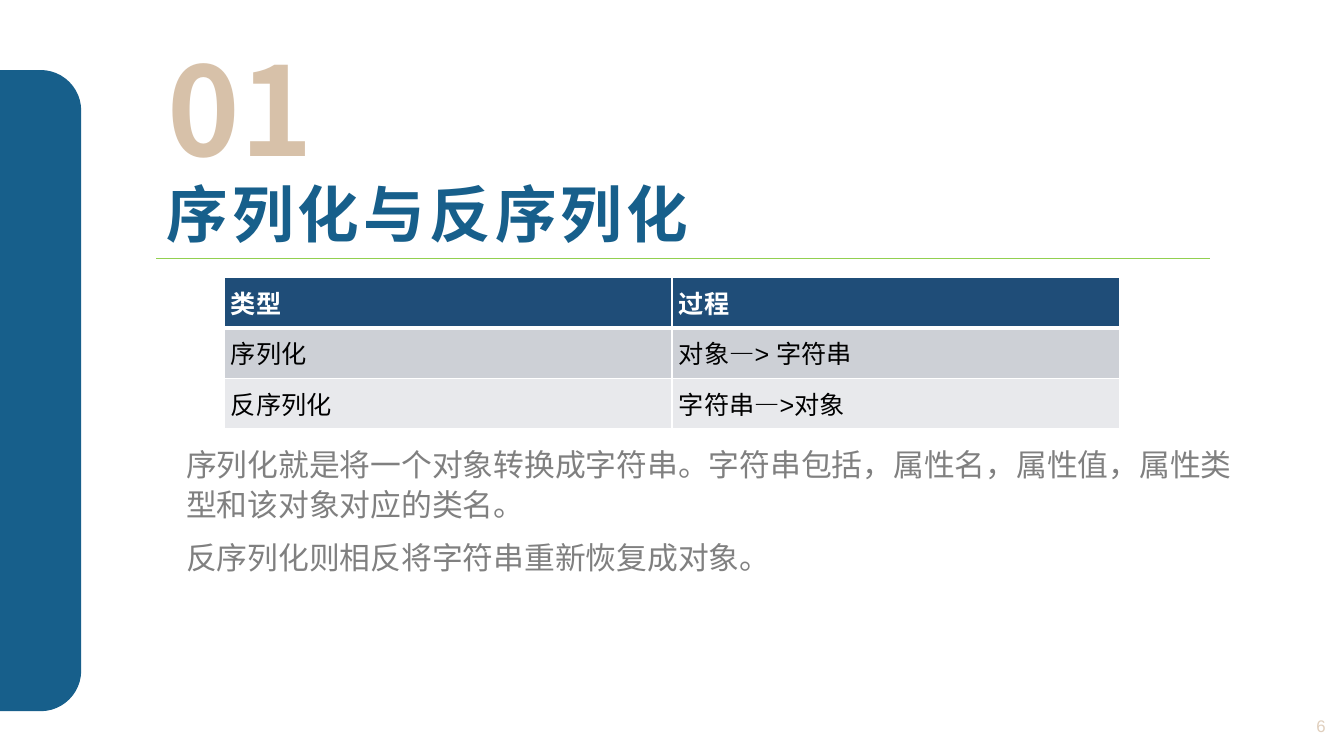
from lxml.etree import SubElement
from pptx import Presentation
from pptx.dml.color import RGBColor
from pptx.enum.shapes import MSO_CONNECTOR, MSO_SHAPE
from pptx.enum.text import MSO_ANCHOR, MSO_AUTO_SIZE, PP_ALIGN
from pptx.oxml import parse_xml
from pptx.oxml.ns import nsdecls, qn
from pptx.util import Pt

BLUE = RGBColor(0x17, 0x5F, 0x8B)
GREEN = RGBColor(0x92, 0xD0, 0x50)
SAND = RGBColor(0xD7, 0xC1, 0xA9)
PALE_SAND = RGBColor(0xE0, 0xCF, 0xBD)
GRAY = RGBColor(0x80, 0x80, 0x80)
NAVY = RGBColor(0x1F, 0x4D, 0x78)
BAND_DARK = RGBColor(0xCD, 0xD0, 0xD6)
BAND_LIGHT = RGBColor(0xE8, 0xE9, 0xEC)
WHITE = RGBColor(0xFF, 0xFF, 0xFF)
BLACK = RGBColor(0, 0, 0)


class SlideBuilder:
    latin = "Arial"
    east_asian = "Noto Sans CJK SC"

    def __init__(self, slide):
        self.slide = slide

    def format_text(self, frame, size, color, bold=False, font=None, align=PP_ALIGN.LEFT,
                    line_spacing=1.0, gap=0, tracking=0):
        for index, paragraph in enumerate(frame.paragraphs):
            paragraph.alignment = align
            paragraph.line_spacing = line_spacing
            paragraph.space_before = Pt(gap if index else 0)
            for run in paragraph.runs:
                run.font.size = Pt(size)
                run.font.bold = bold
                run.font.color.rgb = color
                run.font.name = font or self.latin
                properties = run._r.get_or_add_rPr()
                SubElement(properties, qn("a:ea")).set("typeface", self.east_asian)
                if tracking:
                    properties.set("spc", str(tracking * 100))

    def title(self, text, left, top, width, height, **style):
        heading = self.slide.shapes.title
        heading.left, heading.top = Pt(left), Pt(top)
        heading.width, heading.height = Pt(width), Pt(height)
        self.fill_frame(heading.text_frame, text, MSO_ANCHOR.MIDDLE, style)

    def text(self, text, left, top, width, height, anchor=MSO_ANCHOR.TOP, **style):
        box = self.slide.shapes.add_textbox(Pt(left), Pt(top), Pt(width), Pt(height))
        self.fill_frame(box.text_frame, text, anchor, style)

    def fill_frame(self, frame, text, anchor, style):
        frame.text = text
        frame.word_wrap = True
        frame.auto_size = MSO_AUTO_SIZE.NONE
        frame.vertical_anchor = anchor
        self.format_text(frame, **style)

    def side_bar(self, left, top, width, height, color):
        """Draw a vertical bar whose two right corners are rounded."""
        bar = self.slide.shapes.add_shape(
            MSO_SHAPE.ROUND_2_SAME_RECTANGLE,
            Pt(left + (width - height) / 2), Pt(top + (height - width) / 2),
            Pt(height), Pt(width))
        bar.rotation = 90
        bar.adjustments[0] = 0.5
        bar.adjustments[1] = 0
        bar.shadow.inherit = False
        bar.fill.solid()
        bar.fill.fore_color.rgb = color
        bar.line.fill.background()

    def rule(self, left, right, y, color, weight):
        divider = self.slide.shapes.add_connector(
            MSO_CONNECTOR.STRAIGHT, Pt(left), Pt(y), Pt(right), Pt(y))
        divider.line.color.rgb = color
        divider.line.width = Pt(weight)
        SubElement(divider._element.spPr, qn("a:effectLst"))

    def table(self, rows, left, top, column_width, row_height, fills):
        columns = len(rows[0])
        table = self.slide.shapes.add_table(
            len(rows), columns, Pt(left), Pt(top),
            Pt(column_width * columns), Pt(row_height * len(rows))).table
        for row_index, (texts, fill) in enumerate(zip(rows, fills)):
            table.rows[row_index].height = Pt(row_height)
            header = row_index == 0
            for column_index, text in enumerate(texts):
                table.columns[column_index].width = Pt(column_width)
                cell = table.cell(row_index, column_index)
                cell.text_frame.text = text
                cell.vertical_anchor = MSO_ANCHOR.MIDDLE
                cell.margin_left = cell.margin_right = Pt(5)
                cell.margin_top = cell.margin_bottom = Pt(5)
                cell.fill.solid()
                cell.fill.fore_color.rgb = fill
                self.format_text(cell.text_frame, 18, WHITE if header else BLACK, bold=header)
                self.borders(cell, L=1, R=1, T=3 if row_index == 1 else 1, B=3 if header else 1)

    def borders(self, cell, **weights):
        properties = cell._tc.get_or_add_tcPr()
        for position, (side, weight) in enumerate(weights.items()):
            properties.insert(position, parse_xml(
                f'<a:ln{side} {nsdecls("a")} w="{Pt(weight)}"><a:solidFill>'
                f'<a:srgbClr val="{WHITE}"/></a:solidFill></a:ln{side}>'))


def main():
    deck = Presentation()
    deck.slide_width, deck.slide_height = Pt(960), Pt(540)
    builder = SlideBuilder(deck.slides.add_slide(deck.slide_layouts[5]))

    builder.rule(111.6, 864, 184.5, GREEN, 0.5)
    builder.side_bar(0, 50, 58, 458, BLUE)
    builder.title("序列化与反序列化", 111.6, 124.5, 824.4, 61.2,
                  size=44, color=BLUE, bold=True, line_spacing=0.9, tracking=3)
    builder.text("序列化就是将一个对象转换成字符串。字符串包括，属性名，属性值，属性类型和该对象对应的类名。\n"
                 "反序列化则相反将字符串重新恢复成对象。",
                 126, 312.5, 775.5, 121, size=22, color=GRAY, line_spacing=1.08, gap=10)
    builder.text("6", 872.6, 504.7, 81.4, 27.4, anchor=MSO_ANCHOR.MIDDLE,
                 size=12, color=PALE_SAND, align=PP_ALIGN.RIGHT)
    builder.text("01", 93, 32.4, 157, 92, size=88, color=SAND, bold=True,
                 font=builder.east_asian, align=PP_ALIGN.CENTER, line_spacing=0.9)
    builder.table([("类型", "过程"),
                   ("序列化", "对象—> 字符串"),
                   ("反序列化", "字符串—>对象")],
                  160, 198, 320, 36, (NAVY, BAND_DARK, BAND_LIGHT))
    deck.save("out.pptx")


if __name__ == "__main__":
    main()
